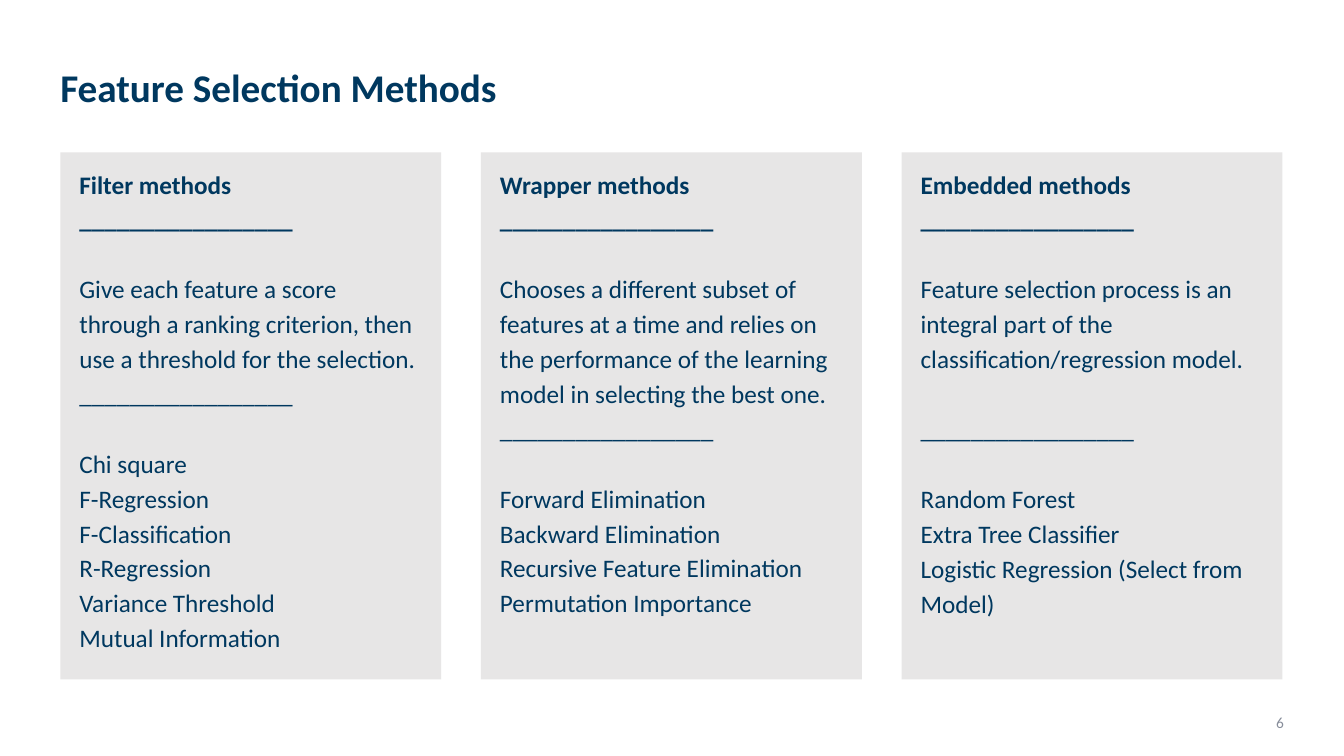
"""Build the slide that compares three families of feature selection methods."""
from lxml import etree
from pptx import Presentation
from pptx.dml.color import RGBColor
from pptx.enum.text import MSO_ANCHOR, MSO_AUTO_SIZE, PP_ALIGN
from pptx.oxml.ns import qn
from pptx.util import Cm, Pt

TOP, NO_FIT = MSO_ANCHOR.TOP, MSO_AUTO_SIZE.NONE
LEFT, RIGHT = PP_ALIGN.LEFT, PP_ALIGN.RIGHT

TITLE = "Feature Selection Methods"
PAGE_NUMBER = "6"
RULE = "_" * 17
CARDS = [
    {
        "heading": "Filter methods",
        "description": "Give each feature a score through a ranking criterion, "
                       "then use a threshold for the selection.",
        "rule_gap": 0,
        "methods": ["Chi square", "F-Regression", "F-Classification", "R-Regression",
                    "Variance Threshold", "Mutual Information"],
    },
    {
        "heading": "Wrapper methods",
        "description": "Chooses a different subset of features at a time and relies on "
                       "the performance of the learning model in selecting the best one.",
        "rule_gap": 0,
        "methods": ["Forward Elimination", "Backward Elimination",
                    "Recursive Feature Elimination", "Permutation Importance"],
    },
    {
        "heading": "Embedded methods",
        "description": "Feature selection process is an integral part of the "
                       "classification/regression model.",
        "rule_gap": 1,
        "methods": ["Random Forest", "Extra Tree Classifier",
                    "Logistic Regression (Select from Model)"],
    },
]
COLORS = {"navy": "00385F", "card": "E7E6E6", "gray": "888E9B"}
FONT = "Calibri"
LINE_GAP = 25.3
CARD_LEFT, CARD_TOP, CARD_WIDTH, CARD_HEIGHT, CARD_PITCH = 1.52, 3.84, 9.6, 13.28, 10.6


def set_values(target, values):
    """Set every attribute named in a dict."""
    for name, value in values.items():
        setattr(target, name, value)


def place(shape, left, top, width, height, insets):
    """Position a shape and prepare its text frame."""
    set_values(shape, {"left": Cm(left), "top": Cm(top),
                       "width": Cm(width), "height": Cm(height)})
    sides = ("margin_left", "margin_top", "margin_right", "margin_bottom")
    set_values(shape.text_frame, {"word_wrap": True, "auto_size": NO_FIT, "vertical_anchor": TOP,
                                  **{side: Cm(inset) for side, inset in zip(sides, insets)}})


def write(paragraph, text, size, color, bold=False, spacing=1.0, gap=0, align=LEFT):
    """Fill one paragraph with formatted, unbulleted text."""
    run = paragraph.add_run()
    run.text = text
    set_values(run.font, {"name": FONT, "size": Pt(size), "bold": bold})
    run.font.color.rgb = RGBColor.from_string(COLORS[color])
    set_values(paragraph, {"alignment": align, "line_spacing": spacing,
                           "space_before": Pt(gap), "space_after": Pt(0)})
    properties = paragraph._p.get_or_add_pPr()
    properties.set("marL", "0")
    properties.set("indent", "0")
    etree.SubElement(properties, qn("a:buNone"))


def card_lines(card):
    """List the text, weight and number of lines left free above each paragraph."""
    first, *others = card["methods"]
    return [(card["heading"], True, 0), (RULE, True, 0),
            (card["description"], False, 1), (RULE, False, card["rule_gap"]),
            (first, False, 1), *((method, False, 0) for method in others)]


def fill_card(shape, column, card):
    """Draw one card in its column."""
    place(shape, CARD_LEFT + column * CARD_PITCH, CARD_TOP, CARD_WIDTH, CARD_HEIGHT,
          (0.48, 0.3, 0.46, 0.2))
    shape.fill.solid()
    shape.fill.fore_color.rgb = RGBColor.from_string(COLORS["card"])
    frame = shape.text_frame
    for index, (text, bold, gap) in enumerate(card_lines(card)):
        paragraph = frame.add_paragraph() if index else frame.paragraphs[0]
        write(paragraph, text, 18, "navy", bold, 1.15, gap * LINE_GAP)


def main():
    """Create and save the presentation."""
    presentation = Presentation()
    set_values(presentation, {"slide_width": Cm(33.87), "slide_height": Cm(19.05)})
    slide = presentation.slides.add_slide(presentation.slide_layouts.get_by_name("Comparison"))
    title, *bodies = list(slide.placeholders)

    place(title, CARD_LEFT, 1.73, 30.8, 2.1, (0, 0, 0, 0))
    write(title.text_frame.paragraphs[0], TITLE, 28, "navy", True, 0.9)

    for column, (body, card) in enumerate(zip(bodies, CARDS)):
        fill_card(body, column, card)
    for spare in bodies[len(CARDS):]:
        spare.element.getparent().remove(spare.element)

    number = slide.shapes.add_textbox(0, 0, 0, 0)
    place(number, 31.55, 17.93, 0.81, 0.41, (0, 0.03, 0, 0))
    write(number.text_frame.paragraphs[0], PAGE_NUMBER, 11, "gray", align=RIGHT)

    presentation.save("out.pptx")


if __name__ == "__main__":
    main()
